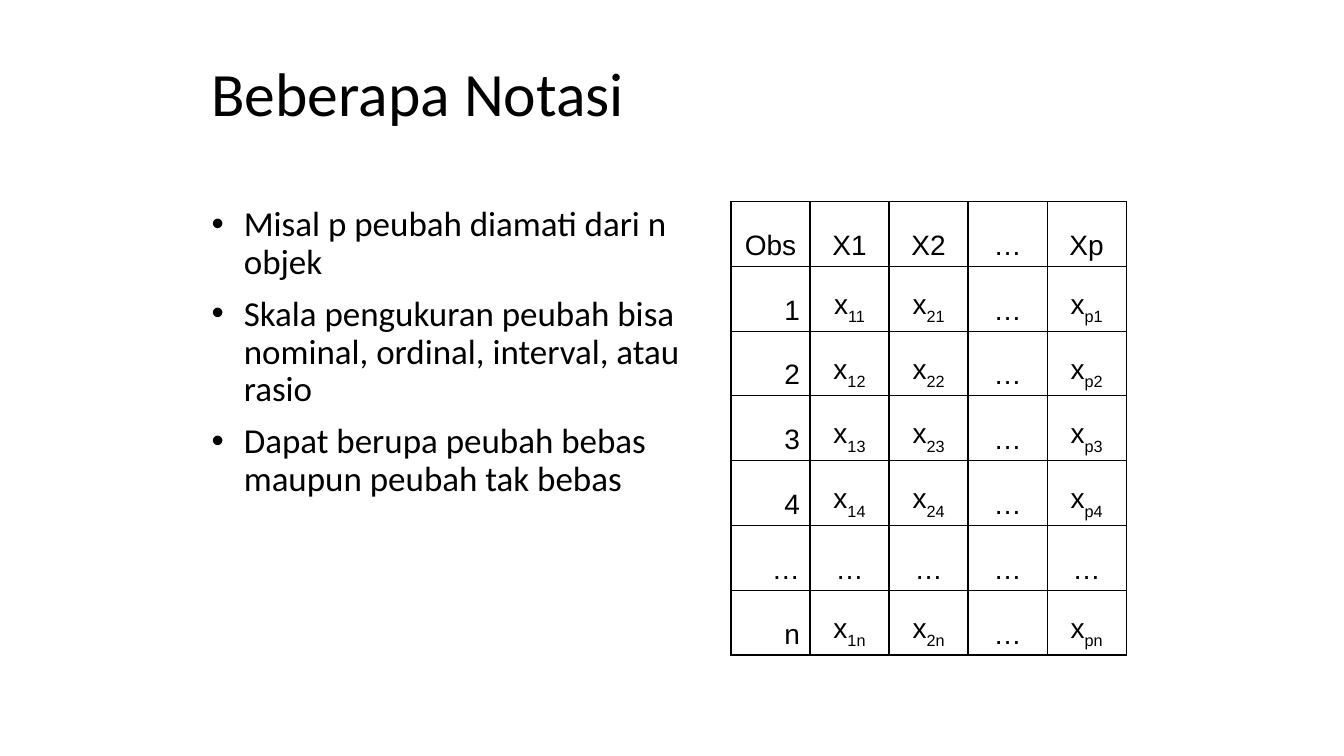
import dataclasses

import lxml.etree
import pptx
import pptx.dml.color
import pptx.enum.text
import pptx.oxml.ns
import pptx.util

Inches = pptx.util.Inches
Pt = pptx.util.Pt
Align = pptx.enum.text.PP_ALIGN
Anchor = pptx.enum.text.MSO_ANCHOR
qn = pptx.oxml.ns.qn


@dataclasses.dataclass(frozen=True)
class Theme:
    """Colours, fonts and type sizes of the slide."""
    ink: str = "000000"
    paper: str = "FFFFFF"
    text: str = "Calibri"
    grid: str = "Arial"
    title: int = 44
    body: int = 25
    cell: int = 20
    rule: int = 1


THEME = Theme()
TITLE = "Beberapa Notasi"
POINTS = [
    "Misal p peubah diamati dari n objek",
    "Skala pengukuran peubah bisa nominal, ordinal, interval, atau rasio",
    "Dapat berupa peubah bebas maupun peubah tak bebas",
]
DOTS = "…"
HEADS = ["Obs", "X1", "X2", DOTS, "Xp"]
VARS = ["1", "2", DOTS, "p"]
ROWS = ["1", "2", "3", "4", DOTS, "n"]


def style(par, size, face):
    """Set the font of a paragraph."""
    par.font.size = Pt(size)
    par.font.name = face
    par.font.color.rgb = pptx.dml.color.RGBColor.from_string(THEME.ink)


def add_text(slide, box, lines, size, anchor):
    """Place lines of text in a box and return their paragraphs."""
    frame = slide.shapes.add_textbox(*map(Inches, box)).text_frame
    frame.word_wrap = True
    frame.vertical_anchor = anchor
    frame.text = "\n".join(lines)
    for par in frame.paragraphs:
        par.line_spacing = 0.9
        style(par, size, THEME.text)
    return frame.paragraphs


def add_title(slide, box):
    """Place the heading."""
    add_text(slide, box, [TITLE], THEME.title, Anchor.MIDDLE)


def add_points(slide, box):
    """Place the bulleted points."""
    for par in add_text(slide, box, POINTS, THEME.body, Anchor.TOP):
        par.space_before = Pt(10)
        props = par._p.get_or_add_pPr()
        props.set("marL", str(Inches(0.32)))
        props.set("indent", str(-Inches(0.32)))
        font = lxml.etree.SubElement(props, qn("a:buFont"), typeface="Arial")
        mark = lxml.etree.SubElement(props, qn("a:buChar"), char="•")
        props.insert_element_before(font, "a:defRPr")
        props.insert_element_before(mark, "a:defRPr")


def add_rules(cell):
    """Draw a thin line on each side of a cell."""
    props = cell._tc.get_or_add_tcPr()
    for side in ("lnL", "lnR", "lnT", "lnB"):
        line = lxml.etree.SubElement(props, qn("a:" + side), w=str(Pt(THEME.rule)))
        fill = lxml.etree.SubElement(line, qn("a:solidFill"))
        lxml.etree.SubElement(fill, qn("a:srgbClr"), val=THEME.ink)


def fill_cell(cell, text, sub, align):
    """Write text with an optional subscript in a ruled cell."""
    add_rules(cell)
    cell.fill.solid()
    cell.fill.fore_color.rgb = pptx.dml.color.RGBColor.from_string(THEME.paper)
    cell.vertical_anchor = Anchor.BOTTOM
    par = cell.text_frame.paragraphs[0]
    par.alignment = align
    style(par, THEME.cell, THEME.grid)
    par.add_run().text = text
    if sub:
        run = par.add_run()
        run.text = sub
        run._r.get_or_add_rPr().set("baseline", "-30000")


def add_grid(slide, box):
    """Place the table of observations."""
    left, top, width, height = map(Inches, box)
    rows, cols = len(ROWS) + 1, len(HEADS)
    table = slide.shapes.add_table(rows, cols, left, top, width, height).table
    table.first_row = table.horz_banding = False
    for col, head in enumerate(HEADS):
        fill_cell(table.cell(0, col), head, "", Align.CENTER)
    for row, obs in enumerate(ROWS, 1):
        fill_cell(table.cell(row, 0), obs, "", Align.RIGHT)
        for col, var in enumerate(VARS, 1):
            gap = DOTS in (obs, var)
            text, sub = (DOTS, "") if gap else ("x", var + obs)
            fill_cell(table.cell(row, col), text, sub, Align.CENTER)


def main():
    """Build and save the slide."""
    deck = pptx.Presentation()
    deck.slide_width = Inches(13.33)
    deck.slide_height = Inches(7.5)
    slide = deck.slides.add_slide(deck.slide_layouts[6])
    add_title(slide, (2, 0.33, 10.66, 1.25))
    add_points(slide, (2, 2, 5.22, 4.5))
    add_grid(slide, (7.25, 2, 3.92, 4.5))
    deck.save("out.pptx")


if __name__ == "__main__":
    main()
